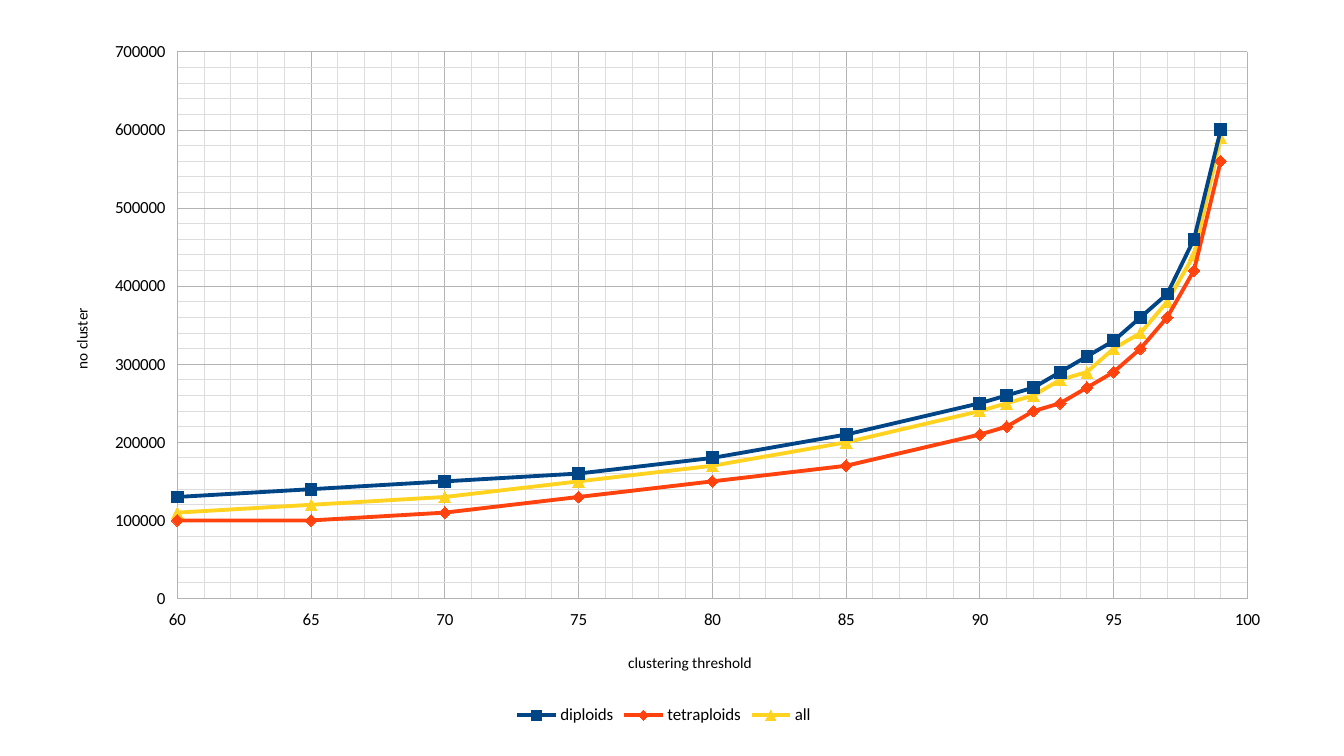
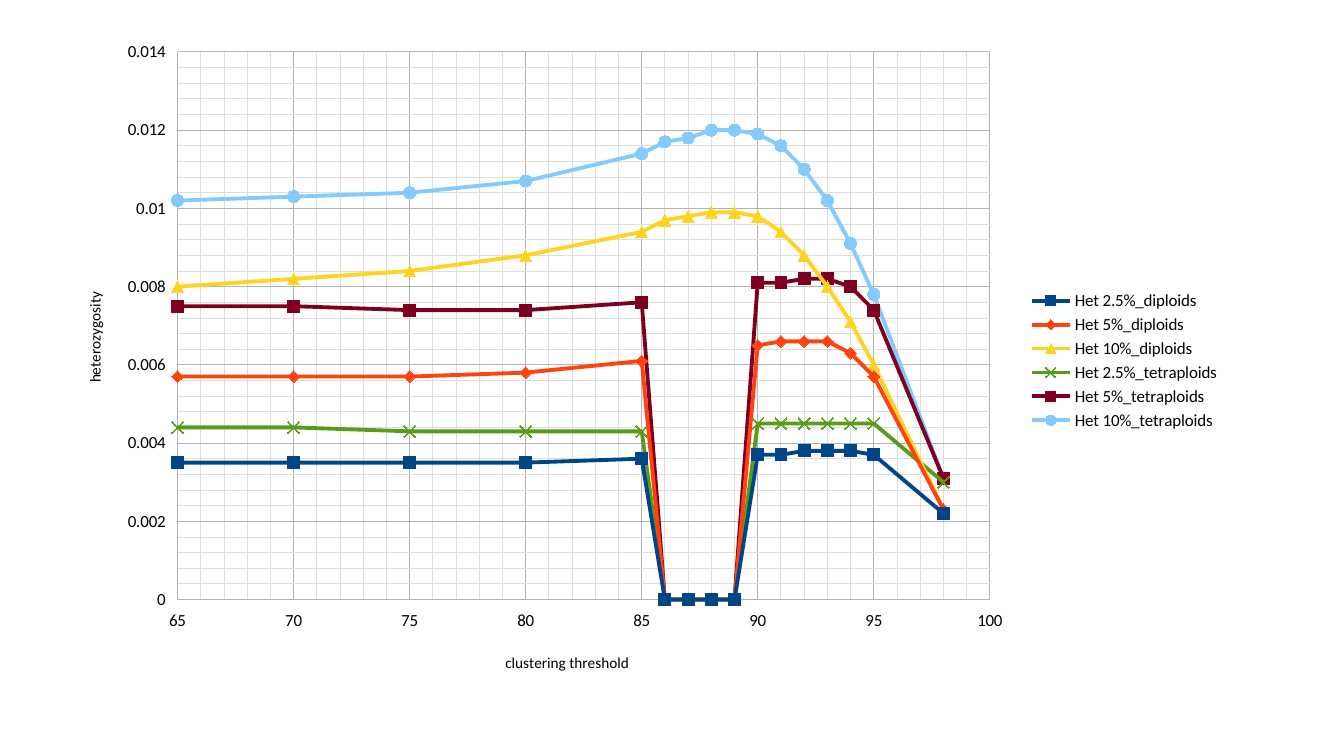
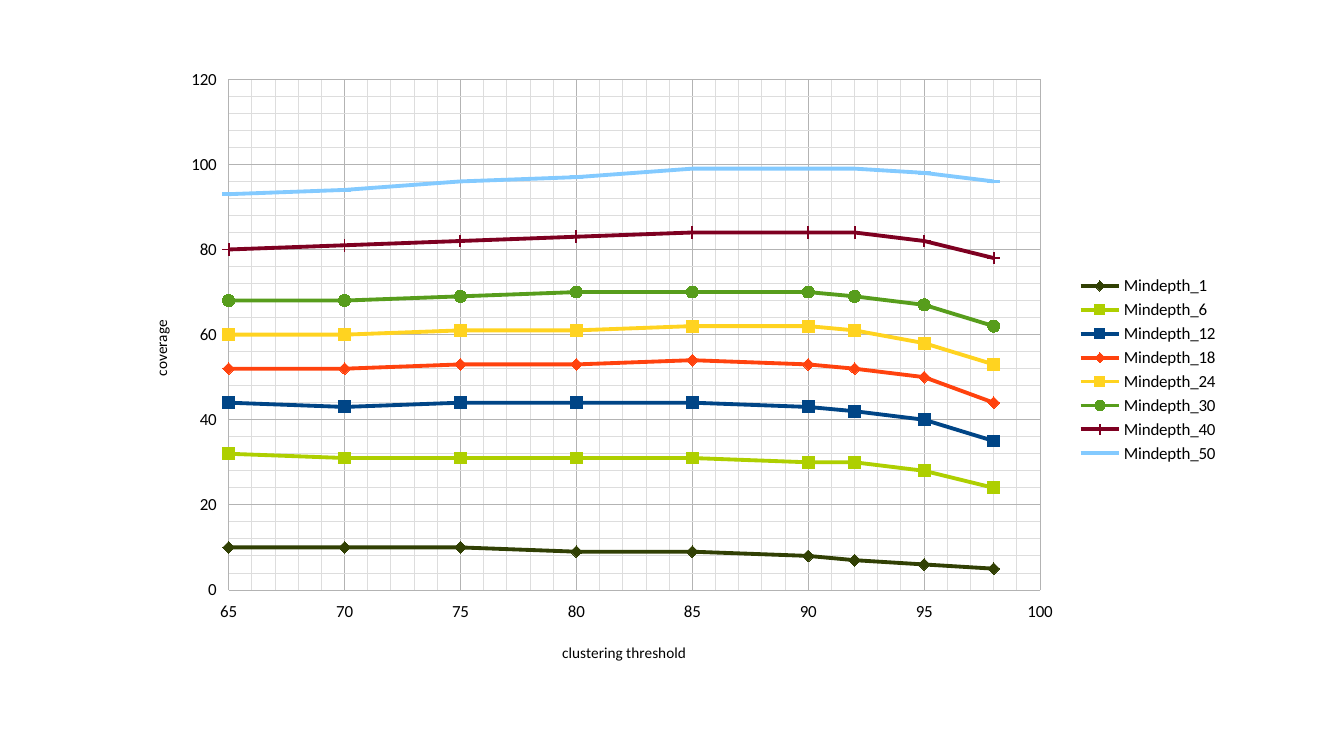
from copy import deepcopy
from dataclasses import dataclass

from lxml import etree
from pptx import Presentation
from pptx.chart.data import XyChartData
from pptx.dml.color import RGBColor
from pptx.enum.chart import (
    XL_CHART_TYPE, XL_LEGEND_POSITION, XL_MARKER_STYLE,
    XL_TICK_LABEL_POSITION, XL_TICK_MARK,
)
from pptx.oxml.ns import qn
from pptx.util import Inches, Pt

LINES = XL_CHART_TYPE.XY_SCATTER_LINES
BOTTOM = XL_LEGEND_POSITION.BOTTOM
RIGHT = XL_LEGEND_POSITION.RIGHT
LOW = XL_TICK_LABEL_POSITION.LOW
NO_TICK = XL_TICK_MARK.NONE
SQUARE = XL_MARKER_STYLE.SQUARE
DIAMOND = XL_MARKER_STYLE.DIAMOND
WEDGE = XL_MARKER_STYLE.TRIANGLE
CROSS = XL_MARKER_STYLE.X
CIRCLE = XL_MARKER_STYLE.CIRCLE
PLUS = XL_MARKER_STYLE.PLUS
DASH = XL_MARKER_STYLE.DASH


@dataclass(frozen=True)
class Theme:
    font: str = "Calibri"
    ink: str = "000000"
    major: str = "B3B3B3"
    minor: str = "DDDDDD"
    blue: str = "004586"
    red: str = "FF420E"
    gold: str = "FFD320"
    green: str = "579D1C"
    wine: str = "7E0021"
    sky: str = "83CAFF"
    moss: str = "314004"
    lime: str = "AECF00"
    label: float = 10
    title: float = 9
    rule: float = 0.5
    curve: float = 2.27
    dot: int = 7


@dataclass(frozen=True)
class Scale:
    title: str
    low: float
    high: float
    major: float
    minor: float
    spot: tuple
    style: str = "General"


THEME = Theme()
WIDTH, HEIGHT = Inches(11.02), Inches(6.2)


def share(part, whole):
    return round(whole * part / 100)


def set_font(font, size):
    font.name = THEME.font
    font.size = Pt(size)
    font.bold = False
    font.color.rgb = RGBColor.from_string(THEME.ink)


def set_line(line, color, width):
    line.color.rgb = RGBColor.from_string(color)
    line.width = Pt(width)


def set_place(parent, index, spot, inner=False):
    layout = parent.find(qn("c:layout"))
    if layout is None:
        layout = etree.Element(qn("c:layout"))
        parent.insert(index, layout)
    manual = etree.SubElement(layout, qn("c:manualLayout"))
    pairs = [("layoutTarget", "inner")] if inner else []
    pairs += [("xMode", "edge"), ("yMode", "edge")]
    pairs += [(key, str(part / 100)) for key, part in zip("xywh", spot)]
    for key, value in pairs:
        etree.SubElement(manual, qn("c:" + key)).set("val", value)


def set_grid(axis):
    axis.has_major_gridlines = axis.has_minor_gridlines = True
    set_line(axis.major_gridlines.format.line, THEME.major, THEME.rule)
    node = axis._element
    look = deepcopy(node.find(qn("c:majorGridlines")).find(qn("c:spPr")))
    next(look.iter(qn("a:srgbClr"))).set("val", THEME.minor)
    node.find(qn("c:minorGridlines")).append(look)


def set_axis(axis, scale, turn=False):
    axis.minimum_scale, axis.maximum_scale = scale.low, scale.high
    axis.major_unit, axis.minor_unit = scale.major, scale.minor
    axis.major_tick_mark = axis.minor_tick_mark = NO_TICK
    set_grid(axis)
    set_line(axis.format.line, THEME.major, THEME.rule)
    axis.tick_label_position = LOW
    labels = axis.tick_labels
    labels.number_format = scale.style
    labels.number_format_is_linked = False
    set_font(labels.font, THEME.label)
    title = axis.axis_title
    run = title.text_frame.paragraphs[0].add_run()
    run.text = scale.title
    set_font(run.font, THEME.title)
    node = title._element
    if turn:
        body = next(node.iter(qn("a:bodyPr")))
        body.set("rot", "-5400000")
        body.set("vert", "horz")
    set_place(node, 1, scale.spot)


def set_curve(curve, color, mark):
    tone = RGBColor.from_string(color)
    curve.smooth = False
    set_line(curve.format.line, color, THEME.curve)
    curve.marker.style = mark
    curve.marker.size = THEME.dot
    curve.marker.format.fill.solid()
    curve.marker.format.fill.fore_color.rgb = tone
    curve.marker.format.line.color.rgb = tone


def add_plot(deck, box, field, across, up, side, steps, curves):
    slide = deck.slides.add_slide(deck.slide_layouts[6])
    data = XyChartData()
    for name, _, _, values in curves:
        row = data.add_series(name)
        for x, y in zip(steps, values):
            row.add_data_point(x, y)
    left, top, size = box
    frame = slide.shapes.add_chart(
        LINES, share(left, WIDTH), share(top, HEIGHT),
        share(size, WIDTH), share(size, HEIGHT), data)
    chart = frame.chart
    chart.has_title = False
    set_font(chart.font, THEME.label)
    chart.has_legend = True
    chart.legend.position = side
    chart.legend.include_in_layout = False
    set_font(chart.legend.font, THEME.label)
    plot = chart.plots[0]
    plot.vary_by_categories = False
    set_axis(chart.category_axis, across)
    set_axis(chart.value_axis, up, turn=True)
    for curve, (_, color, mark, _) in zip(plot.series, curves):
        set_curve(curve, color, mark)
    area = next(chart._chartSpace.iter(qn("c:plotArea")))
    set_place(area, 0, field, inner=True)


def steps_on(low, spot):
    return Scale("clustering threshold", low, 100, 5, 1, spot)


def tens(*counts):
    return [count * 10000 for count in counts]


def rates(*parts):
    return [part / 10000 for part in parts]


def add_counts(deck):
    add_plot(
        deck, (3.1, 3.9, 92.6), (10.9, 3.2, 86, 78.1),
        steps_on(60, (46.9, 88.6)),
        Scale("no cluster", 0, 700000, 100000, 20000, (2.2, 39.4), "0"),
        BOTTOM, [*range(60, 90, 5), *range(90, 100)],
        [
            ("diploids", THEME.blue, SQUARE,
             tens(13, 14, 15, 16, 18, 21, 25, 26, 27, 29, 31, 33, 36, 39, 46, 60)),
            ("tetraploids", THEME.red, DIAMOND,
             tens(10, 10, 11, 13, 15, 17, 21, 22, 24, 25, 27, 29, 32, 36, 42, 56)),
            ("all", THEME.gold, WEDGE,
             tens(11, 12, 13, 15, 17, 20, 24, 25, 26, 28, 29, 32, 34, 38, 44, 59)),
        ])


def add_rates(deck):
    gap = (0,) * 4
    add_plot(
        deck, (4.1, 3.9, 87.6), (10.4, 3.4, 69, 82.7),
        steps_on(65, (38, 93.7)),
        Scale("heterozygosity", 0, 0.014, 0.002, 0.0004, (2.3, 39.2)),
        RIGHT, [*range(65, 85, 5), *range(85, 96), 98],
        [
            ("Het 2.5%_diploids", THEME.blue, SQUARE,
             rates(35, 35, 35, 35, 36, *gap, 37, 37, 38, 38, 38, 37, 22)),
            ("Het 5%_diploids", THEME.red, DIAMOND,
             rates(57, 57, 57, 58, 61, *gap, 65, 66, 66, 66, 63, 57, 23)),
            ("Het 10%_diploids", THEME.gold, WEDGE,
             rates(80, 82, 84, 88, 94, 97, 98, 99, 99, 98, 94, 88, 80, 71, 60, 23)),
            ("Het 2.5%_tetraploids", THEME.green, CROSS,
             rates(44, 44, 43, 43, 43, *gap, 45, 45, 45, 45, 45, 45, 30)),
            ("Het 5%_tetraploids", THEME.wine, SQUARE,
             rates(75, 75, 74, 74, 76, *gap, 81, 81, 82, 82, 80, 74, 31)),
            ("Het 10%_tetraploids", THEME.sky, CIRCLE,
             rates(102, 103, 104, 107, 114, 117, 118, 120, 120, 119, 116,
                   110, 102, 91, 78, 31)),
        ])


def add_depths(deck):
    rows = [
        (1, THEME.moss, DIAMOND, [10, 10, 10, 9, 9, 8, 7, 6, 5]),
        (6, THEME.lime, SQUARE, [32, 31, 31, 31, 31, 30, 30, 28, 24]),
        (12, THEME.blue, SQUARE, [44, 43, 44, 44, 44, 43, 42, 40, 35]),
        (18, THEME.red, DIAMOND, [52, 52, 53, 53, 54, 53, 52, 50, 44]),
        (24, THEME.gold, SQUARE, [60, 60, 61, 61, 62, 62, 61, 58, 53]),
        (30, THEME.green, CIRCLE, [68, 68, 69, 70, 70, 70, 69, 67, 62]),
        (40, THEME.wine, PLUS, [80, 81, 82, 83, 84, 84, 84, 82, 78]),
        (50, THEME.sky, DASH, [93, 94, 96, 97, 99, 99, 99, 98, 96]),
    ]
    add_plot(
        deck, (9, 7.6, 82.6), (9.7, 3.5, 73.1, 81.8),
        steps_on(65, (39.5, 93.3)),
        Scale("coverage", 0, 120, 20, 4, (2.5, 41.6)),
        RIGHT, [*range(65, 91, 5), 92, 95, 98],
        [(f"Mindepth_{depth}", *rest) for depth, *rest in rows])


def main():
    deck = Presentation()
    deck.slide_width, deck.slide_height = WIDTH, HEIGHT
    add_counts(deck)
    add_rates(deck)
    add_depths(deck)
    deck.save("out.pptx")


if __name__ == "__main__":
    main()
